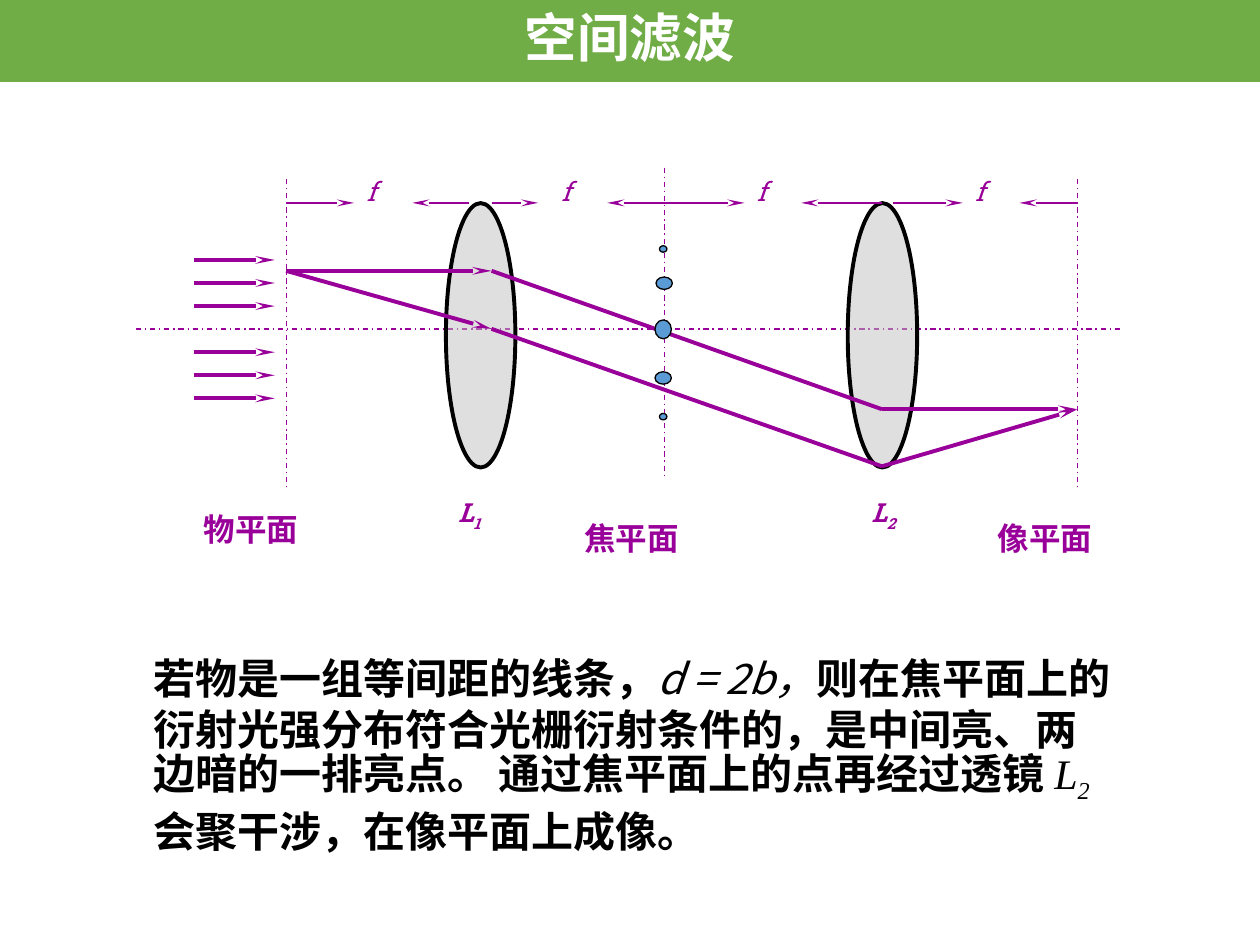
from pptx import Presentation
from pptx.dml.color import RGBColor
from pptx.enum.dml import MSO_LINE_DASH_STYLE as Dash
from pptx.enum.shapes import MSO_CONNECTOR as Connector, MSO_SHAPE as Shape
from pptx.enum.text import MSO_ANCHOR as Anchor, MSO_AUTO_SIZE as AutoSize, PP_ALIGN as Align
from pptx.oxml.ns import qn
from pptx.util import Cm, Pt
from lxml.etree import SubElement

COLORS = {"purple": "990099", "green": "70AD47", "white": "FFFFFF",
          "black": "000000", "gray": "C0C0C0", "blue": "5B9BD5"}
SANS, SLAB, SERIF, CJK = "Calibri", "Roboto Slab", "Times New Roman", "Noto Sans CJK SC"

TITLE = "空间滤波"
BODY = [
    ("若物是一组等间距的线条，", CJK, "b"),
    ("d = 2b，", CJK, "i"),
    ("则在焦平面上的衍射光强分布符合光栅衍射条件的，是中间亮、两边暗的一排亮点。 ", CJK, "b"),
    ("通过焦平面上的点再经过透镜 ", SANS, "b"),
    ("L", SERIF, "i"),
    ("2 ", SERIF, "i_"),
    ("会聚干涉，在像平面上成像。", SANS, "b"),
]

OBJECT_X, LENS1_X, FOCUS_X, LENS2_X, IMAGE_X = 5.77, 9.91, 13.39, 17.78, 21.72
AXIS_Y, OBJECT_Y, IMAGE_Y, EDGE_Y, FOCAL_Y = 6.63, 5.46, 8.25, 9.4, 4.09

GUIDES = [
    (OBJECT_X, 3.61, OBJECT_X, 9.88),
    (2.74, AXIS_Y, 22.63, AXIS_Y),
    (FOCUS_X, 3.38, FOCUS_X, 9.63),
    (IMAGE_X, 3.61, IMAGE_X, 9.88),
]
LENS_CENTERS = [9.69, 17.79]
RAYS = [
    (OBJECT_X, OBJECT_Y, LENS1_X, OBJECT_Y, True),
    (LENS1_X, OBJECT_Y, LENS2_X, IMAGE_Y, False),
    (OBJECT_X, OBJECT_Y, LENS1_X, AXIS_Y, True),
    (LENS1_X, AXIS_Y, LENS2_X, EDGE_Y, False),
    (LENS2_X, IMAGE_Y, IMAGE_X, IMAGE_Y, True),
    (LENS2_X, EDGE_Y, IMAGE_X, IMAGE_Y, True),
]
INCOMING_TOP, INCOMING_STEP = 5.24, 0.465
INCOMING_ROWS = [0, 1, 2, 4, 5, 6]
FOCAL_ARROWS = [
    (OBJECT_X, 7.14), (9.45, 8.31), (LENS1_X, 10.85), (13.61, 12.24),
    (13.61, 15.01), (LENS2_X, 16.15), (18.01, 19.41), (IMAGE_X, 20.55),
]
FOCAL_LABELS = [7.14, 11.07, 15.01, 19.41]
PLANE_LABELS = [("物平面", 3.86, 10.16), ("焦平面", 11.53, 10.34), ("像平面", 19.86, 10.34)]
LENS_LABELS = [("1", 8.99), ("2", 17.32)]
SPOTS = [
    (13.37, 6.64, 0.33, 0.38), (13.37, 7.62, 0.33, 0.25), (13.39, 5.71, 0.33, 0.25),
    (13.37, 8.4, 0.15, 0.13), (13.37, 5.02, 0.15, 0.13),
]


def color(name):
    return RGBColor.from_string(COLORS[name])


def add_run(paragraph, text, font, size, tint, style):
    run = paragraph.add_run()
    run.text = text
    run.font.name, run.font.size = font, Pt(size)
    run.font.bold, run.font.italic = "b" in style, "i" in style
    run.font.color.rgb = color(tint)
    if "_" in style:
        run.font._element.set("baseline", "-25000")


def add_line(shapes, x1, y1, x2, y2, width, arrow=False, dashed=False):
    line = shapes.add_connector(Connector.STRAIGHT, Cm(x1), Cm(y1), Cm(x2), Cm(y2))
    line.line.color.rgb = color("purple")
    line.line.width = Pt(width)
    if dashed:
        line.line.dash_style = Dash.DASH_DOT
    if arrow:
        SubElement(line.line._get_or_add_ln(), qn("a:tailEnd"), type="stealth", w="sm", len="lg")
    SubElement(line._element.spPr, qn("a:effectLst"))


def add_ellipse(shapes, center_x, center_y, width, height, fill, outline):
    ellipse = shapes.add_shape(Shape.OVAL, Cm(center_x - width / 2), Cm(center_y - height / 2),
                               Cm(width), Cm(height))
    ellipse.shadow.inherit = False
    ellipse.fill.solid()
    ellipse.fill.fore_color.rgb = color(fill)
    ellipse.line.color.rgb = color("black")
    ellipse.line.width = Pt(outline)
    return ellipse


def add_label(shapes, x, y, width, height, size, runs):
    frame = shapes.add_textbox(Cm(x), Cm(y), Cm(width), Cm(height)).text_frame
    frame.word_wrap = False
    for text, style in runs:
        add_run(frame.paragraphs[0], text, SLAB, size, "purple", style)


def add_title(slide):
    title = slide.shapes.title
    title.left, title.top, title.width, title.height = Cm(0), Cm(0), Cm(25.4), Cm(1.65)
    title.fill.solid()
    title.fill.fore_color.rgb = color("green")
    frame = title.text_frame
    frame.auto_size = AutoSize.NONE
    frame.vertical_anchor = Anchor.MIDDLE
    frame.margin_left = frame.margin_right = Cm(0.18)
    frame.margin_top = frame.margin_bottom = Cm(0.1)
    paragraph = frame.paragraphs[0]
    paragraph.alignment = Align.CENTER
    paragraph.line_spacing = 0.9
    add_run(paragraph, TITLE, SANS, 30, "white", "b")


def add_body(slide):
    frame = slide.shapes.add_textbox(Cm(2.84), Cm(13.03), Cm(19.89), Cm(4.37)).text_frame
    frame.word_wrap = True
    paragraph = frame.paragraphs[0]
    paragraph.line_spacing = Pt(29)
    for text, font, style in BODY:
        add_run(paragraph, text, font, 24, "black", style)


def add_diagram(slide):
    shapes = slide.shapes.add_group_shape().shapes
    for guide in GUIDES:
        add_line(shapes, *guide, 0.75, dashed=True)
    for center_x in LENS_CENTERS:
        lens = add_ellipse(shapes, center_x, 6.76, 1.4, 5.33, "gray", 2.25)
        tint = lens.fill._xPr.find(qn("a:solidFill"))[0]
        SubElement(tint, qn("a:alpha"), val="50000")
    for *ends, arrow in RAYS:
        add_line(shapes, *ends, 2.25, arrow)
    for row in INCOMING_ROWS:
        y = INCOMING_TOP + row * INCOMING_STEP
        add_line(shapes, 3.91, y, 5.54, y, 2.25, arrow=True)
    for start, end in FOCAL_ARROWS:
        add_line(shapes, start, FOCAL_Y, end, FOCAL_Y, 0.75, arrow=True)
    for x in FOCAL_LABELS:
        add_label(shapes, x, 3.4, 0.86, 1.07, 15, [("f", "i")])
    for text, x, y in PLANE_LABELS:
        add_label(shapes, x, y, 3, 1.22, 18, [(text, "b")])
    for number, x in LENS_LABELS:
        add_label(shapes, x, 9.88, 1.35, 1.07, 15, [("L", "bi"), (number, "bi_")])
    for spot in SPOTS:
        add_ellipse(shapes, *spot, "blue", 0.75)


def main():
    presentation = Presentation()
    presentation.slide_width, presentation.slide_height = Cm(25.4), Cm(19.05)
    slide = presentation.slides.add_slide(presentation.slide_layouts[5])
    add_title(slide)
    add_body(slide)
    add_diagram(slide)
    presentation.save("out.pptx")


if __name__ == "__main__":
    main()
